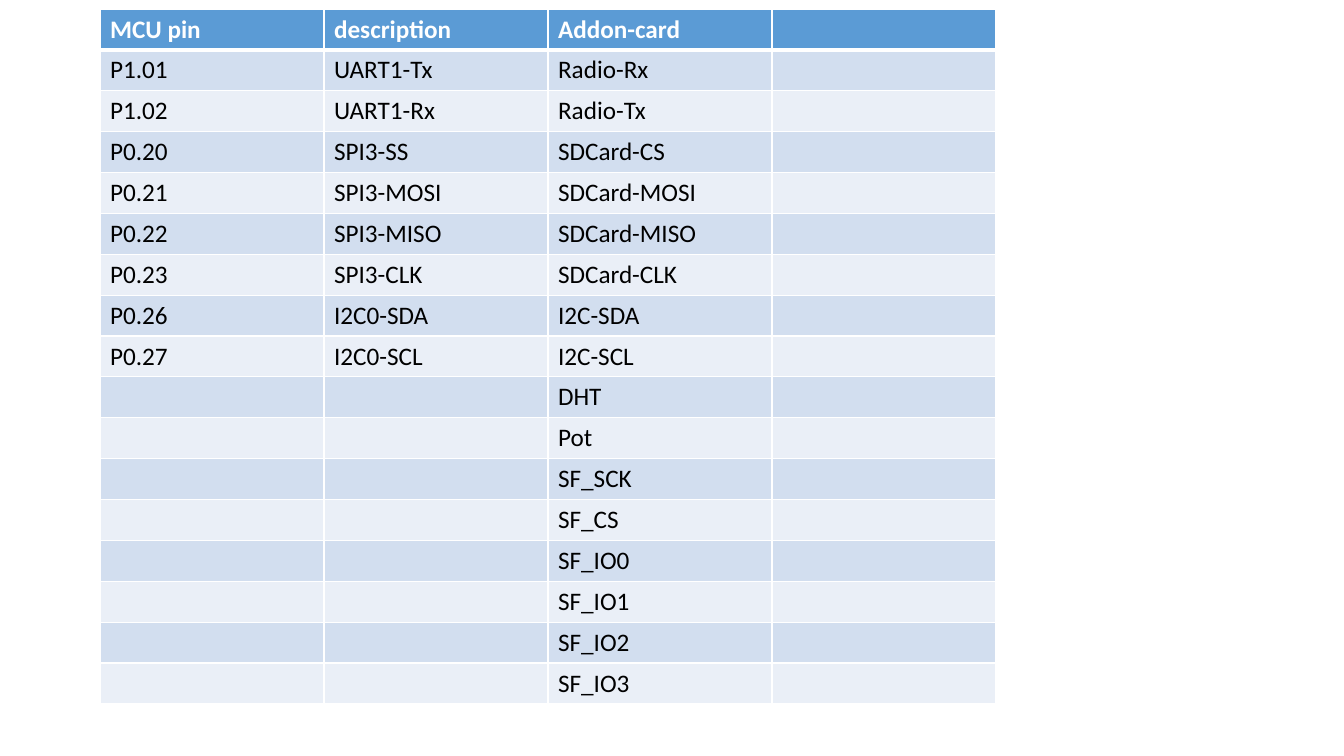
from lxml.etree import SubElement
from pptx import Presentation
from pptx.dml.color import RGBColor
from pptx.oxml.ns import qn
from pptx.util import Emu, Pt

WHITE = RGBColor(0xFF, 0xFF, 0xFF)
BLACK = RGBColor(0x00, 0x00, 0x00)
HEADER_BLUE = RGBColor(0x5B, 0x9B, 0xD5)
BAND_DARK = RGBColor(0xD2, 0xDE, 0xEF)
BAND_LIGHT = RGBColor(0xEA, 0xEF, 0xF7)

HEADINGS = ("MCU pin", "description", "Addon-card", "")
PINS = [
    ("P1.01", "UART1-Tx", "Radio-Rx"),
    ("P1.02", "UART1-Rx", "Radio-Tx"),
    ("P0.20", "SPI3-SS", "SDCard-CS"),
    ("P0.21", "SPI3-MOSI", "SDCard-MOSI"),
    ("P0.22", "SPI3-MISO", "SDCard-MISO"),
    ("P0.23", "SPI3-CLK", "SDCard-CLK"),
    ("P0.26", "I2C0-SDA", "I2C-SDA"),
    ("P0.27", "I2C0-SCL", "I2C-SCL"),
]
UNASSIGNED = ["DHT", "Pot", "SF_SCK", "SF_CS", "SF_IO0", "SF_IO1", "SF_IO2", "SF_IO3"]


def px(length):
    return Emu(round(length * 914400 / 100.8))


class SlideBuilder:
    """Holds the text style and the current page."""

    font = "Calibri"
    size = Pt(18)

    def __init__(self, deck):
        self.page = deck.slides.add_slide(deck.slide_layouts[6])

    def border(self, cell, side, width):
        line = SubElement(cell._tc.get_or_add_tcPr(), qn(f"a:ln{side}"), w=str(Pt(width)))
        paint = SubElement(line, qn("a:solidFill"))
        SubElement(paint, qn("a:srgbClr"), val=str(WHITE))

    def cell(self, cell, text, fill, color, bold, top, bottom):
        # Borders come before the fill in the cell properties
        for side, width in (("L", 1), ("R", 1), ("T", top), ("B", bottom)):
            self.border(cell, side, width)
        cell.fill.solid()
        cell.fill.fore_color.rgb = fill
        para = cell.text_frame.paragraphs[0]
        para.font.size = self.size
        if text:
            span = para.add_run()
            span.text = text
            span.font.name = self.font
            span.font.size = self.size
            span.font.bold = bold
            span.font.color.rgb = color

    def table(self, rows, left, top, width, height):
        frame = self.page.shapes.add_table(
            len(rows), len(rows[0]), px(left), px(top), px(width), px(height))
        for r, texts in enumerate(rows):
            header = r == 0
            band = BAND_DARK if r % 2 else BAND_LIGHT
            for c, text in enumerate(texts):
                self.cell(
                    frame.table.cell(r, c), text,
                    fill=HEADER_BLUE if header else band,
                    color=WHITE if header else BLACK,
                    bold=header,
                    top=3 if r == 1 else 1,
                    bottom=3 if header else 1)


def main():
    deck = Presentation()
    deck.slide_width, deck.slide_height = px(1344), px(756)
    builder = SlideBuilder(deck)

    # Pin assignment table: assigned pins, then card signals without a pin
    rows = [HEADINGS]
    rows += [(*pin, "") for pin in PINS]
    rows += [("", "", signal, "") for signal in UNASSIGNED]
    builder.table(rows, left=100, top=9, width=896, height=695)

    deck.save("out.pptx")


if __name__ == "__main__":
    main()
